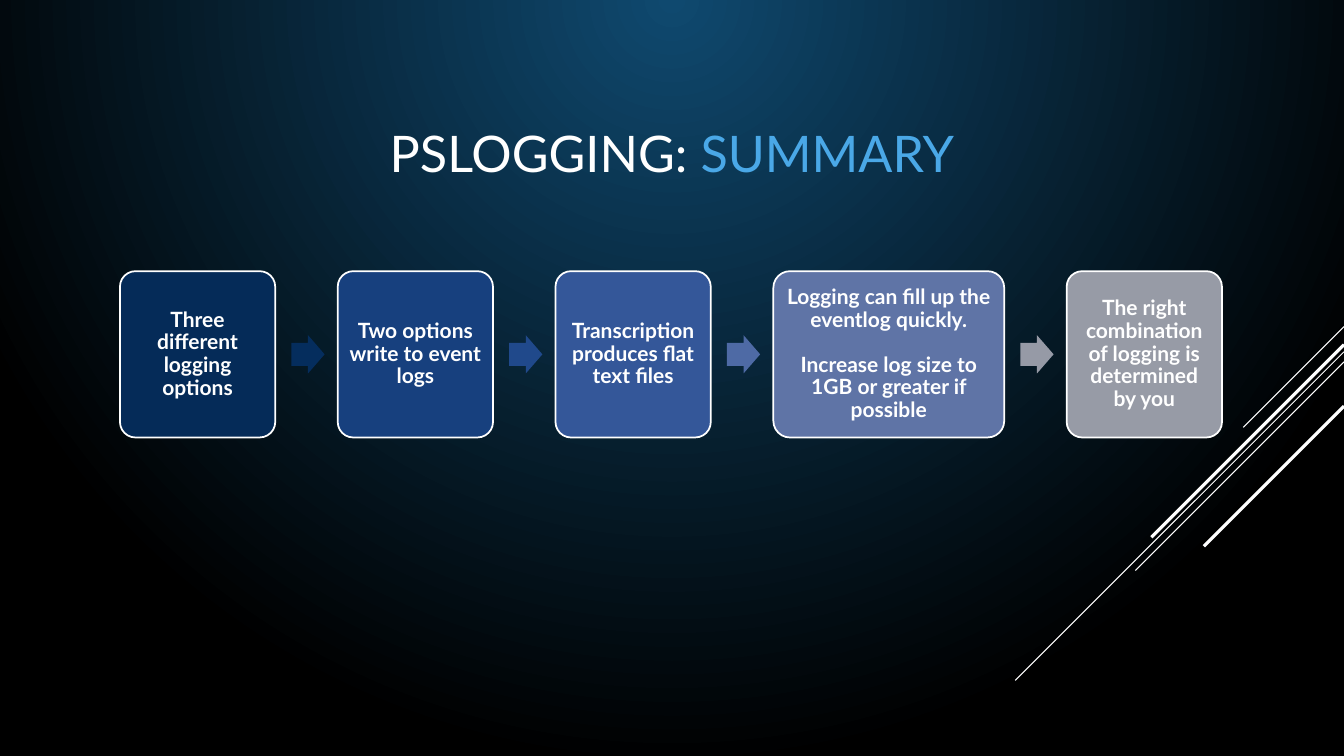
from pptx import Presentation
from pptx.dml.color import RGBColor
from pptx.enum import shapes, text
from pptx.oxml import parse_xml
from pptx.oxml import ns
from pptx.util import Inches, Pt

FONT = "Lato"
COLORS = {"white": "FFFFFF", "accent": "4AA8E7", "glow": "0F496F", "edge": "000000"}

# Step text paragraphs, box width, box fill, fill of the arrow that follows
STEPS = [
    (["Three different logging options"], 1.54, "052B58", "052D5D"),
    (["Two options write to event logs"], 1.54, "17407E", "20498B"),
    (["Transcription produces flat text files"], 1.54, "345799", "4E6AA5"),
    (["Logging can fill up the eventlog quickly.",
      "Increase log size to 1GB or greater if possible"], 2.29, "5F74A6", "969AA6"),
    (["The right combination of logging is determined by you"], 1.54, "979BA6", None),
]

# Diagonals: start y on the right edge, horizontal run, line width
DIAGONALS = [(3.24, 1, 0.75), (3.49, 3.26, 0.75), (3.59, 2.07, 0.75),
             (3.42, 1.91, 2.25), (4.03, 1.39, 2.25)]


def rgb(value):
    return RGBColor.from_string(value)


def set_background(slide):
    fill = slide.background.fill
    fill.gradient()
    for stop, name, position in zip(fill.gradient_stops, ("glow", "edge"), (0, 1)):
        stop.color.rgb = rgb(COLORS[name])
        stop.position = position
    # Radial gradient centred on the top edge
    gradient = slide.element.find(".//" + ns.qn("a:gradFill"))
    gradient.remove(gradient.find(ns.qn("a:lin")))
    gradient.append(parse_xml(
        f'<a:path {ns.nsdecls("a")} path="circle">'
        '<a:fillToRect l="0" t="0" r="0" b="100000"/></a:path>'))


def add_diagonals(slide, right):
    for top, run, weight in DIAGONALS:
        line = slide.shapes.add_connector(
            shapes.MSO_CONNECTOR.STRAIGHT, Inches(right), Inches(top),
            Inches(right - run), Inches(top + run))
        line.line.color.rgb = rgb(COLORS["white"])
        line.line.width = Pt(weight)
        line.element.spPr.append(parse_xml(f'<a:effectLst {ns.nsdecls("a")}/>'))


def add_title(slide, left, top, width, height):
    box = slide.shapes.add_textbox(*map(Inches, (left, top, width, height)))
    frame = box.text_frame
    frame.word_wrap = True
    frame.vertical_anchor = text.MSO_ANCHOR.MIDDLE
    paragraph = frame.paragraphs[0]
    paragraph.alignment = text.PP_ALIGN.CENTER
    paragraph.font.name = FONT
    paragraph.font.size = Pt(36)
    for words, color in (("PSLOGGING: ", "white"), ("SUMMARY", "accent")):
        run = paragraph.add_run()
        run.text = words
        run.font.color.rgb = rgb(COLORS[color])


def add_filled(slide, kind, box, fill, adjustments):
    shape = slide.shapes.add_shape(kind, *map(Inches, box))
    shape.shadow.inherit = False
    shape.fill.solid()
    shape.fill.fore_color.rgb = rgb(fill)
    shape.line.fill.background()
    for index, value in enumerate(adjustments):
        shape.adjustments[index] = value
    return shape


def add_step(slide, box, words, fill):
    shape = add_filled(slide, shapes.MSO_SHAPE.ROUNDED_RECTANGLE, box, fill, [0.1])
    shape.line.color.rgb = rgb(COLORS["white"])
    shape.line.width = Pt(1.25)
    frame = shape.text_frame
    frame.word_wrap = True
    frame.vertical_anchor = text.MSO_ANCHOR.MIDDLE
    frame.margin_left = frame.margin_right = Inches(0.06)
    frame.margin_top = frame.margin_bottom = Inches(0.06)
    for index, sentence in enumerate(words):
        paragraph = frame.add_paragraph() if index else frame.paragraphs[0]
        paragraph.text = sentence
        paragraph.alignment = text.PP_ALIGN.CENTER
        paragraph.line_spacing = 0.9
        paragraph.space_before = Pt(16 if index else 0)
        paragraph.font.name = FONT
        paragraph.font.size = Pt(15)
        paragraph.font.bold = True
        paragraph.font.color.rgb = rgb(COLORS["white"])


def add_process(slide, left, top, height):
    gap, arrow_width, arrow_height = 0.62, 0.33, 0.38
    for words, width, fill, arrow_fill in STEPS:
        add_step(slide, (left, top, width, height), words, fill)
        left += width + gap
        if arrow_fill:
            arrow_box = (left - gap + 0.16, top + (height - arrow_height) / 2,
                         arrow_width, arrow_height)
            add_filled(slide, shapes.MSO_SHAPE.RIGHT_ARROW, arrow_box,
                       arrow_fill, [0.6, 0.5])


def main():
    presentation = Presentation()
    presentation.slide_width = Inches(13.33)
    presentation.slide_height = Inches(7.5)
    slide = presentation.slides.add_slide(presentation.slide_layouts[6])
    set_background(slide)
    add_diagonals(slide, 13.33)
    add_title(slide, 2.37, 1, 8.59, 1.03)
    add_process(slide, 1.19, 2.69, 1.65)
    presentation.save("out.pptx")


if __name__ == "__main__":
    main()
